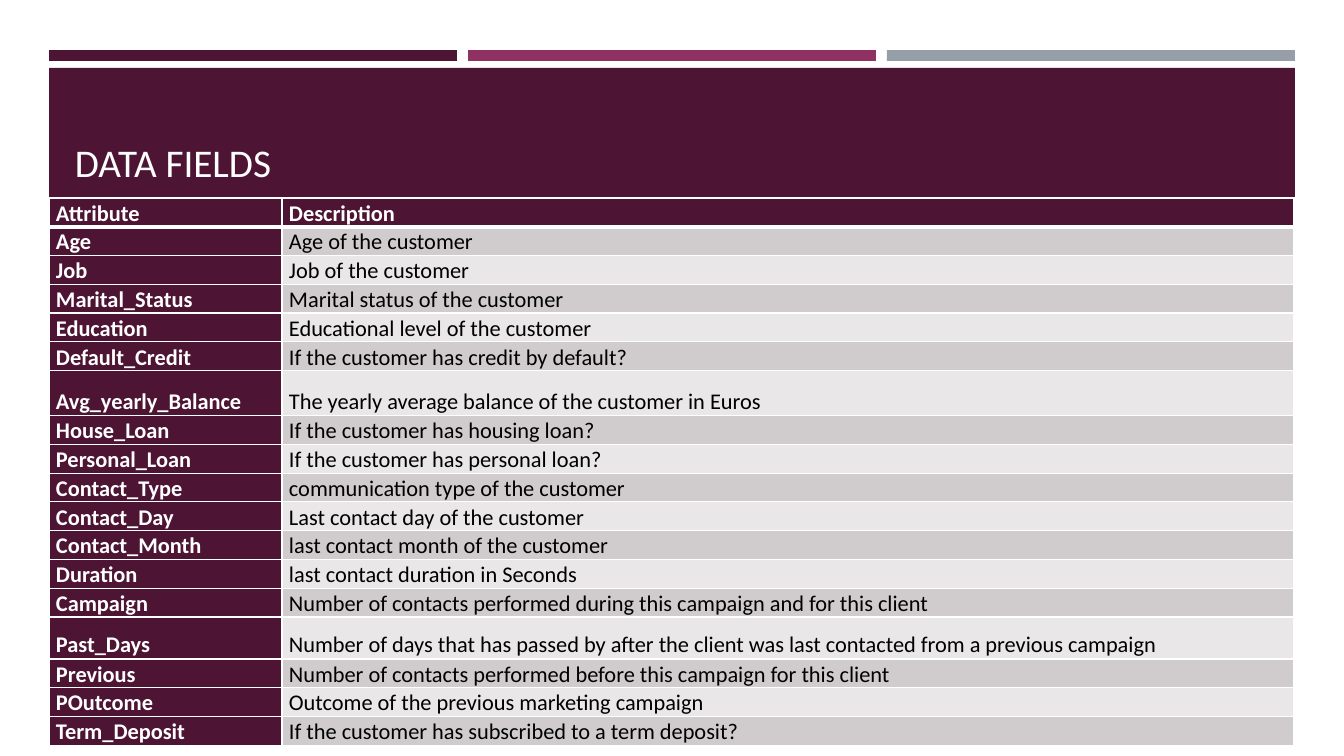
from dataclasses import dataclass

from lxml import etree
from pptx import Presentation
from pptx.dml.color import RGBColor
from pptx.enum.shapes import MSO_SHAPE
from pptx.enum.text import MSO_ANCHOR
from pptx.oxml.ns import qn
from pptx.util import Pt

RECTANGLE = MSO_SHAPE.RECTANGLE
BOTTOM = MSO_ANCHOR.BOTTOM
SLIDE_WIDTH, SLIDE_HEIGHT = 1344, 756
EMU_PER_PX = 12192000 / SLIDE_WIDTH


@dataclass(frozen=True)
class Theme:
    font: str = "Calibri"
    title_size: int = 28
    table_size: int = 16
    plum: str = "4D1434"
    magenta: str = "903163"
    grey: str = "969FA7"
    white: str = "FFFFFF"
    black: str = "000000"
    bands: tuple = ("E9E7E8", "D0CCCE")
    line_spacing: float = 1.07
    thin_border: int = 1
    header_border: int = 3


FIELDS = [
    ("Attribute", "Description"),
    ("Age", "Age of the customer"),
    ("Job", "Job of the customer"),
    ("Marital_Status", "Marital status of the customer"),
    ("Education", "Educational level of the customer"),
    ("Default_Credit", "If the customer has credit by default?"),
    ("Avg_yearly_Balance", "The yearly average balance of the customer in Euros"),
    ("House_Loan", "If the customer has housing loan?"),
    ("Personal_Loan", "If the customer has personal loan?"),
    ("Contact_Type", "communication type of the customer"),
    ("Contact_Day", "Last contact day of the customer"),
    ("Contact_Month", "last contact month of the customer"),
    ("Duration", "last contact duration in Seconds"),
    ("Campaign", "Number of contacts performed during this campaign and for this client"),
    ("Past_Days", "Number of days that has passed by after the client was last "
                  "contacted from a previous campaign"),
    ("Previous", "Number of contacts performed before this campaign for this client"),
    ("POutcome", "Outcome of the previous marketing campaign"),
    ("Term_Deposit", "If the customer has subscribed to a term deposit?"),
]
COLUMN_WIDTHS = (233, 1012)
ROW_HEIGHT = 25
TALL_ROWS = {"Avg_yearly_Balance": 45, "Past_Days": 42}


def px(length):
    return round(length * EMU_PER_PX)


class SlideBuilder:
    def __init__(self, slide, theme):
        self.slide = slide
        self.theme = theme

    def style_text(self, paragraph, size, color, bold=False):
        for run in paragraph.runs:
            run.font.name = self.theme.font
            run.font.size = Pt(size)
            run.font.bold = bold
            run.font.color.rgb = RGBColor.from_string(color)

    def bar(self, left, top, width, height, color):
        bar = self.slide.shapes.add_shape(
            RECTANGLE, px(left), px(top), px(width), px(height))
        bar.shadow.inherit = False
        bar.fill.solid()
        bar.fill.fore_color.rgb = RGBColor.from_string(color)
        bar.line.fill.background()

    def title(self, left, top, width, height, text):
        frame = self.slide.shapes.add_textbox(
            px(left), px(top), px(width), px(height)).text_frame
        frame.word_wrap = True
        frame.vertical_anchor = BOTTOM
        frame.text = text
        self.style_text(frame.paragraphs[0], self.theme.title_size, self.theme.white)

    def border(self, cell, side, width):
        line = etree.SubElement(
            cell._tc.get_or_add_tcPr(), qn(f"a:ln{side}"), w=str(Pt(width)))
        fill = etree.SubElement(line, qn("a:solidFill"))
        etree.SubElement(fill, qn("a:srgbClr"), val=self.theme.white)

    def cell(self, cell, text, row, is_label):
        theme = self.theme
        cell.margin_left = cell.margin_right = px(7)
        cell.margin_top = cell.margin_bottom = 0
        cell.vertical_anchor = BOTTOM
        widths = {side: theme.thin_border for side in "LRTB"}
        if row < 2:
            widths["B" if row == 0 else "T"] = theme.header_border
        for side, width in widths.items():
            self.border(cell, side, width)
        cell.fill.solid()
        cell.fill.fore_color.rgb = RGBColor.from_string(
            theme.plum if is_label else theme.bands[row % 2])
        cell.text = text
        paragraph = cell.text_frame.paragraphs[0]
        paragraph.line_spacing = theme.line_spacing
        self.style_text(paragraph, theme.table_size,
                        theme.white if is_label else theme.black, is_label)

    def table(self, left, top, column_widths, rows):
        heights = [TALL_ROWS.get(label, ROW_HEIGHT) for label, _ in rows]
        table = self.slide.shapes.add_table(
            len(rows), len(column_widths), px(left), px(top),
            px(sum(column_widths)), px(sum(heights))).table
        table.horz_banding = False
        for column, width in zip(table.columns, column_widths):
            column.width = px(width)
        for row, texts in enumerate(rows):
            table.rows[row].height = px(heights[row])
            for column, text in enumerate(texts):
                self.cell(table.cell(row, column), text, row, row == 0 or column == 0)


def main():
    presentation = Presentation()
    presentation.slide_width = px(SLIDE_WIDTH)
    presentation.slide_height = px(SLIDE_HEIGHT)
    theme = Theme()
    builder = SlideBuilder(
        presentation.slides.add_slide(presentation.slide_layouts[6]), theme)
    for index, color in enumerate((theme.plum, theme.magenta, theme.grey)):
        builder.bar(49 + 419 * index, 50, 408, 11, color)
    builder.bar(49, 68, 1246, 131, theme.plum)
    builder.title(65, 78, 1216, 112, "DATA FIELDS")
    builder.table(49, 198, COLUMN_WIDTHS, FIELDS)
    presentation.save("out.pptx")


if __name__ == "__main__":
    main()
